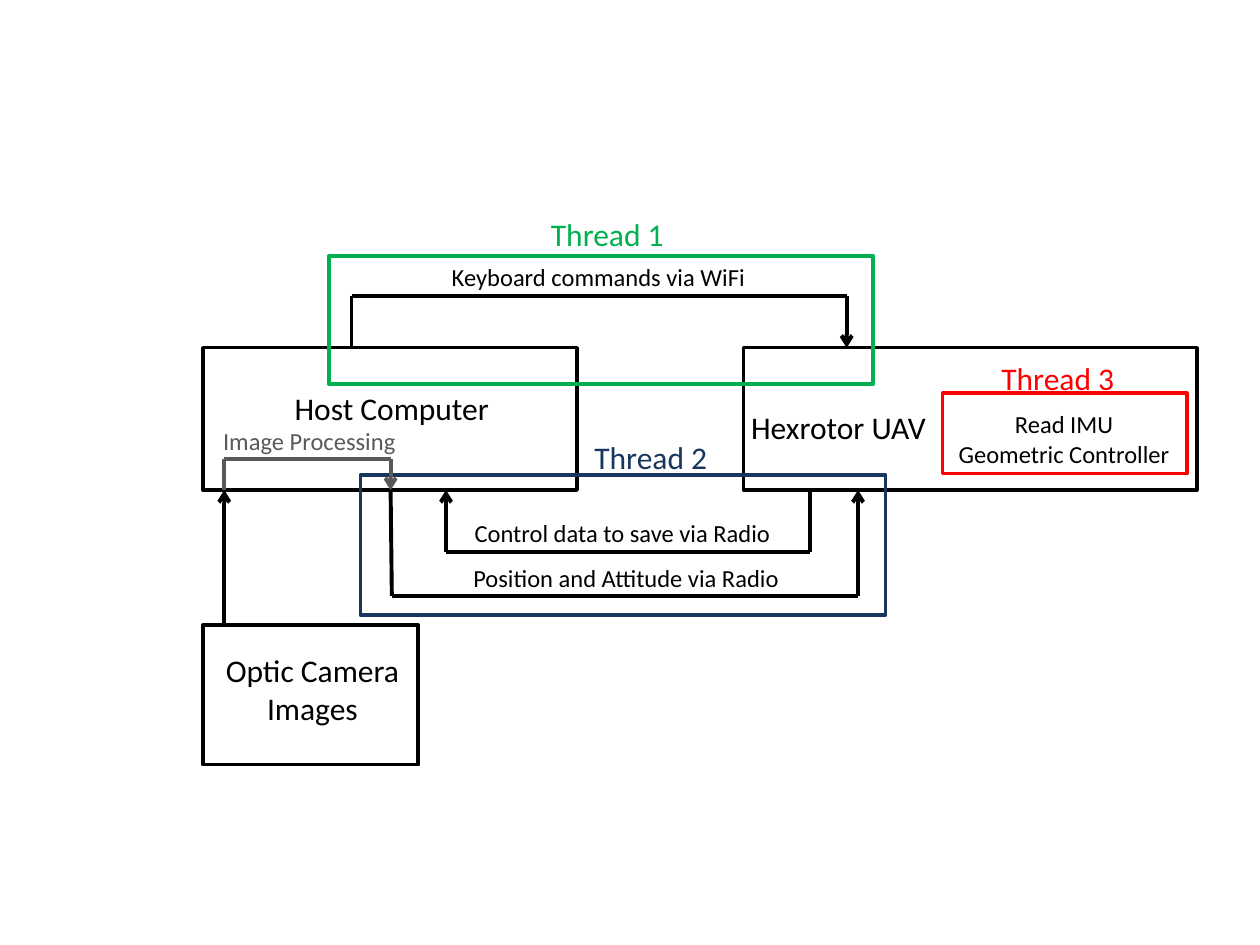
from itertools import pairwise

from lxml.etree import SubElement
from pptx import Presentation
from pptx.dml.color import RGBColor
from pptx.enum.shapes import MSO_CONNECTOR, MSO_SHAPE
from pptx.enum.text import PP_ALIGN
from pptx.oxml.ns import qn
from pptx.util import Inches, Pt

BLACK, GRAY, GREEN, NAVY, RED = "000000", "595959", "00B050", "17375E", "FF0000"

prs = Presentation()
prs.slide_width, prs.slide_height = Inches(10), Inches(7.5)
s = prs.slides.add_slide(prs.slide_layouts[6])

# Grid of 100 columns by 75 rows
COL, ROW = prs.slide_width / 100, prs.slide_height / 75


def rgb(color):
    return RGBColor.from_string(color)


def grid(x, y):
    """Turn columns and rows into slide lengths."""
    return round(x * COL), round(y * ROW)


# Edges shared by the boxes and the routes between them
LEFT, TOP, BOTTOM, CAMERA_TOP = 16.1, 27.6, 38.9, 49.6

boxes = [  # left, top, width, height, color
    (LEFT, TOP, 29.7, BOTTOM - TOP, BLACK),   # host computer
    (59, TOP, 36, BOTTOM - TOP, BLACK),       # UAV
    (LEFT, CAMERA_TOP, 17.1, 11.1, BLACK),    # camera
    (26.1, 20.3, 43.2, 10.2, GREEN),          # thread 1
    (28.6, 37.7, 41.7, 11.1, NAVY),           # thread 2
    (74.8, 31.2, 19.4, 6.4, RED),             # thread 3
]
for x, y, w, h, color in boxes:
    sp = s.shapes.add_shape(MSO_SHAPE.RECTANGLE, *grid(x, y), *grid(w, h))
    sp.shadow.inherit = False
    sp.fill.background()
    sp.line.color.rgb = rgb(color)
    sp.line.width = Pt(2)

# Each route is a chain of straight lines with an arrowhead on the last
routes = [
    (BLACK, [(27.9, TOP), (27.9, 23.5), (67.2, 23.5), (67.2, TOP)]),        # keyboard
    (BLACK, [(64.3, BOTTOM), (64.3, 43.8), (35.4, 43.8), (35.4, BOTTOM)]),  # control data
    (BLACK, [(31, BOTTOM), (31.1, 47.3), (68.1, 47.3), (68.1, BOTTOM)]),    # position
    (BLACK, [(17.8, CAMERA_TOP), (17.8, BOTTOM)]),                          # camera
    (GRAY, [(17.8, BOTTOM), (17.8, 36.4), (31, 36.4), (31, BOTTOM)]),       # processing
]
for color, points in routes:
    for start, end in pairwise(points):
        line = s.shapes.add_connector(MSO_CONNECTOR.STRAIGHT, *grid(*start), *grid(*end))
        line.line.color.rgb = rgb(color)
        line.line.width = Pt(2.25)
        SubElement(line._element.spPr, qn("a:effectLst"))
    SubElement(line.line._get_or_add_ln(), qn("a:tailEnd"), type="arrow")

labels = [  # left, top, width, height, size, color, text
    (16.3, 30.4, 29.6, 4, 18, BLACK, "Host Computer"),
    (55, 31.9, 23.1, 4, 18, BLACK, "Hexrotor UAV"),
    (16.3, 51.2, 17, 6.8, 18, BLACK, "Optic Camera Images"),
    (33.4, 16.6, 29.6, 4, 18, GREEN, "Thread 1"),
    (42.3, 34.3, 18.7, 4, 18, NAVY, "Thread 2"),
    (74.2, 28, 19.5, 4, 18, RED, "Thread 3"),
    (33, 20.3, 29, 3.4, 14, BLACK, "Keyboard commands via WiFi"),
    (15.9, 33.3, 17.3, 3.4, 14, GRAY, "Image Processing"),
    (35.8, 40.6, 27.2, 3.4, 14, BLACK, "Control data to save via Radio"),
    (35.2, 44.2, 29, 3.4, 14, BLACK, "Position and Attitude via Radio"),
    (74.4, 32, 20.1, 5.7, 14, BLACK, "Read IMU\nGeometric Controller"),
]
for x, y, w, h, size, color, text in labels:
    tf = s.shapes.add_textbox(*grid(x, y), *grid(w, h)).text_frame
    tf.word_wrap = True
    tf.text = text
    for p in tf.paragraphs:
        p.alignment = PP_ALIGN.CENTER
        for r in p.runs:
            r.font.name = "Calibri"
            r.font.size = Pt(size)
            r.font.color.rgb = rgb(color)

prs.save("out.pptx")
